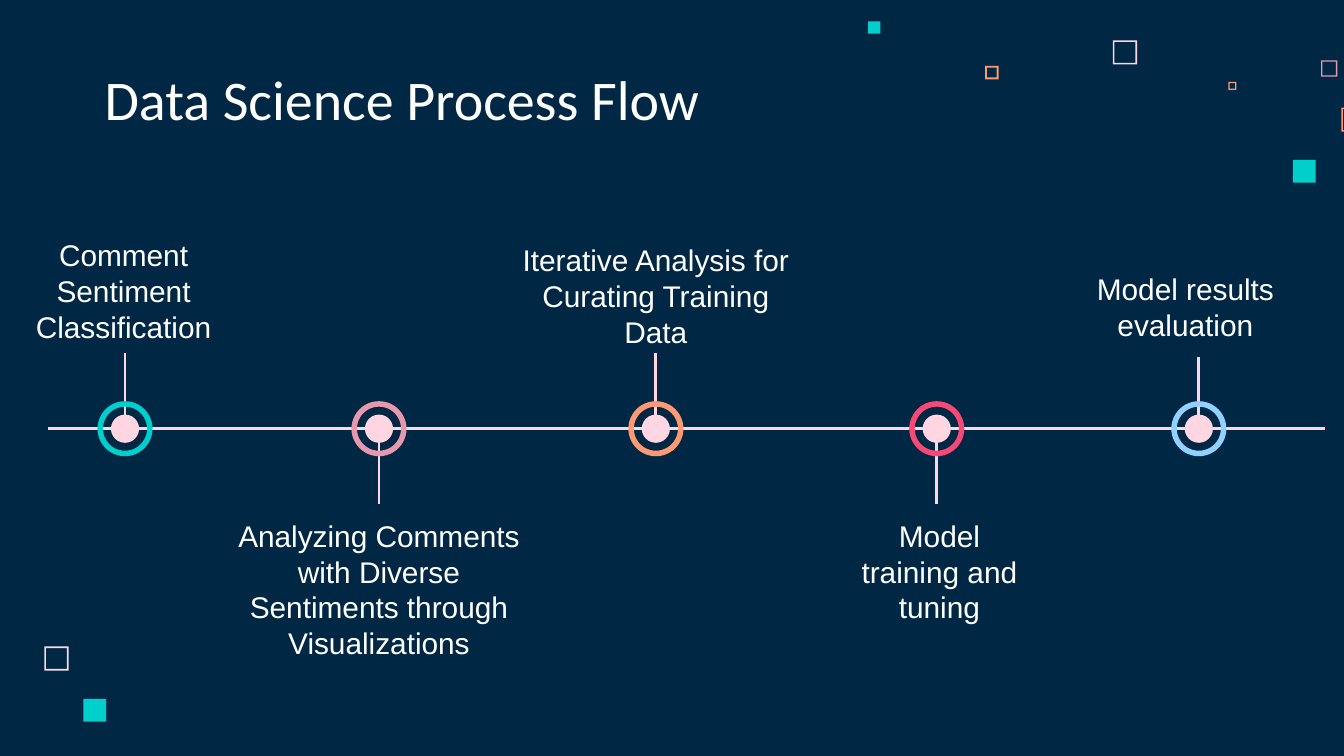
"""Build the data science process timeline slide."""
from lxml.etree import SubElement
from pptx import Presentation
from pptx.dml.color import RGBColor
from pptx.enum.shapes import MSO_CONNECTOR, MSO_SHAPE as Shape
from pptx.enum.text import MSO_ANCHOR as Anchor, PP_ALIGN as Align
from pptx.oxml.ns import qn
from pptx.util import Inches, Pt

WIDTH = 10
HEIGHT = WIDTH * 9 / 16
NAVY, WHITE, BLUSH = "002845", "FFFFFF", "FFD6E1"
TEAL, ROSE, ORANGE, RED, SKY = "00CFCC", "E898AC", "FF9973", "F64975", "91D1FF"

TITLE = "Data Science Process Flow"

# text, colour, node centre, label centre, label width, label edge, stem end, above
STEPS = [
    ("Comment Sentiment Classification", TEAL, 0.93, 0.92, 2.06, 2.66, 2.63, True),
    ("Analyzing Comments with Diverse Sentiments through Visualizations",
     ROSE, 2.82, 2.82, 2.31, 3.75, 3.75, False),
    ("Iterative Analysis for Curating Training Data",
     ORANGE, 4.88, 4.88, 2.31, 2.7, 2.63, True),
    ("Model training and tuning", RED, 6.97, 6.99, 1.57, 3.75, 3.75, False),
    ("Model results evaluation", SKY, 8.92, 8.82, 2.31, 2.65, 2.66, True),
]

# left, top, side, colour, border share (None for a solid square)
SQUARES = [
    (8.28, 0.3, 0.18, BLUSH, 0.07), (9.83, 0.45, 0.12, ROSE, 0.08),
    (9.14, 0.61, 0.06, ORANGE, 0.16), (9.98, 0.8, 0.18, ORANGE, 0.07),
    (9.62, 1.19, 0.17, TEAL, None), (7.33, 0.49, 0.1, ORANGE, 0.14),
    (6.46, 0.16, 0.09, TEAL, None), (0.33, 4.81, 0.18, BLUSH, 0.07),
    (0.62, 5.2, 0.17, TEAL, None),
]

AXIS_Y, AXIS_LEFT, AXIS_RIGHT = 3.19, 0.36, 9.86
STEM_GAP, DOT, RING, RING_BORDER = 0.06, 0.21, 0.41, 0.1
LABEL_HEIGHT = 0.71


def rgb(colour):
    return RGBColor.from_string(colour)


def add_figure(shapes, kind, left, top, side, colour, border=None):
    figure = shapes.add_shape(kind, *map(Inches, (left, top, side, side)))
    figure.shadow.inherit = False
    figure.fill.solid()
    figure.fill.fore_color.rgb = rgb(colour)
    figure.line.fill.background()
    if border is not None:
        figure.adjustments[0] = border


def add_line(shapes, *ends):
    line = shapes.add_connector(MSO_CONNECTOR.STRAIGHT, *map(Inches, ends))
    line.line.color.rgb = rgb(BLUSH)
    line.line.width = Pt(1.5)
    SubElement(line._element.spPr, qn("a:effectLst"))


def add_text(shapes, text, area, font, size, align, anchor):
    frame = shapes.add_textbox(*map(Inches, area)).text_frame
    frame.word_wrap = True
    frame.vertical_anchor = anchor
    frame.margin_left = frame.margin_right = Inches(0.1)
    frame.margin_top = frame.margin_bottom = Inches(0.1)
    paragraph = frame.paragraphs[0]
    paragraph.alignment = align
    run = paragraph.add_run()
    run.text = text
    run.font.name, run.font.size = font, Pt(size)
    run.font.color.rgb = rgb(WHITE)


def add_step(shapes, text, colour, x, label_x, label_width, edge, stem_end, above):
    stem_start = AXIS_Y + (-STEM_GAP if above else STEM_GAP)
    add_line(shapes, x, stem_start, x, stem_end)
    for kind, side, fill, border in ((Shape.OVAL, DOT, BLUSH, None),
                                     (Shape.DONUT, RING, colour, RING_BORDER)):
        add_figure(shapes, kind, x - side / 2, AXIS_Y - side / 2, side, fill, border)
    top = edge - LABEL_HEIGHT if above else edge
    add_text(shapes, text, (label_x - label_width / 2, top, label_width, LABEL_HEIGHT),
             "Arial", 16, Align.CENTER, Anchor.BOTTOM if above else Anchor.TOP)


def main():
    deck = Presentation()
    deck.slide_width, deck.slide_height = Inches(WIDTH), Inches(HEIGHT)
    slide = deck.slides.add_slide(deck.slide_layouts[6])
    slide.background.fill.solid()
    slide.background.fill.fore_color.rgb = rgb(NAVY)
    shapes = slide.shapes
    for left, top, side, colour, border in SQUARES:
        kind = Shape.RECTANGLE if border is None else Shape.FRAME
        add_figure(shapes, kind, left, top, side, colour, border)
    add_text(shapes, TITLE, (0.68, 0.45, 5.17, 0.63), "Calibri", 30,
             Align.LEFT, Anchor.BOTTOM)
    add_line(shapes, AXIS_LEFT, AXIS_Y, AXIS_RIGHT, AXIS_Y)
    for step in STEPS:
        add_step(shapes, *step)
    deck.save("out.pptx")


if __name__ == "__main__":
    main()
